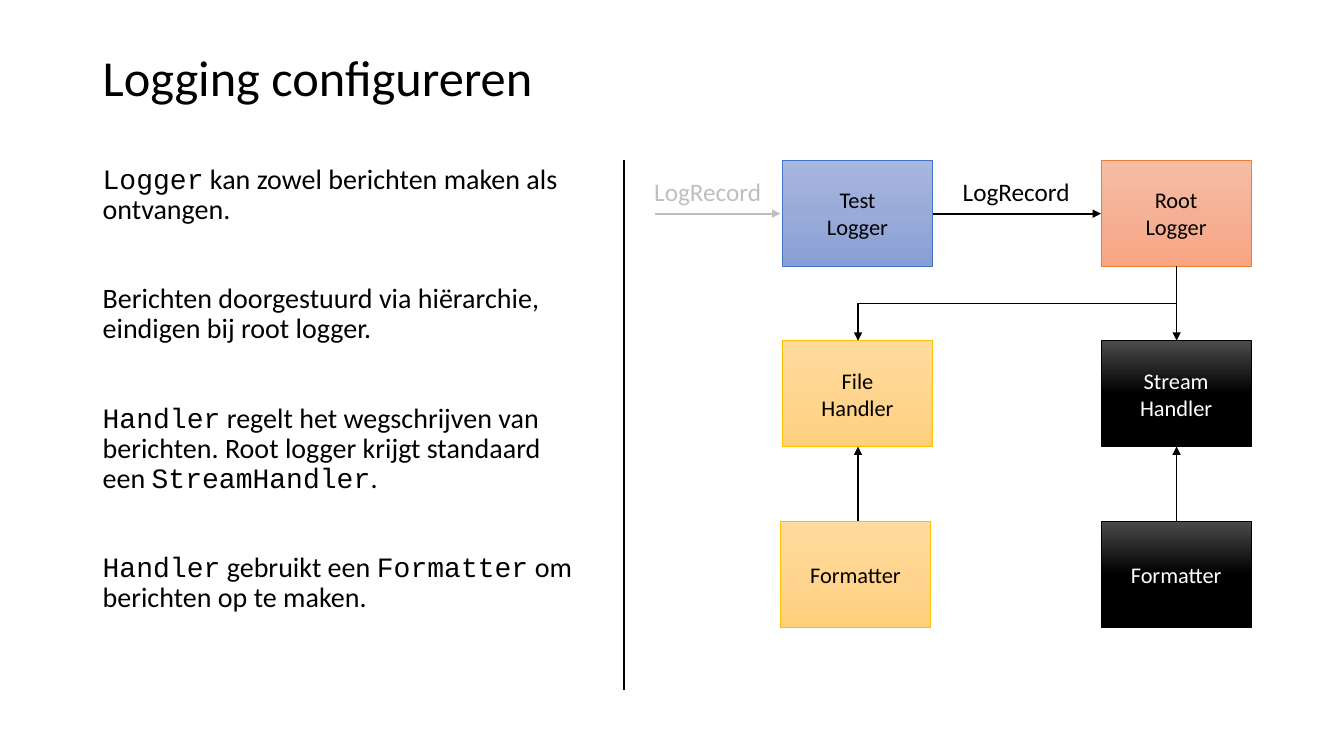
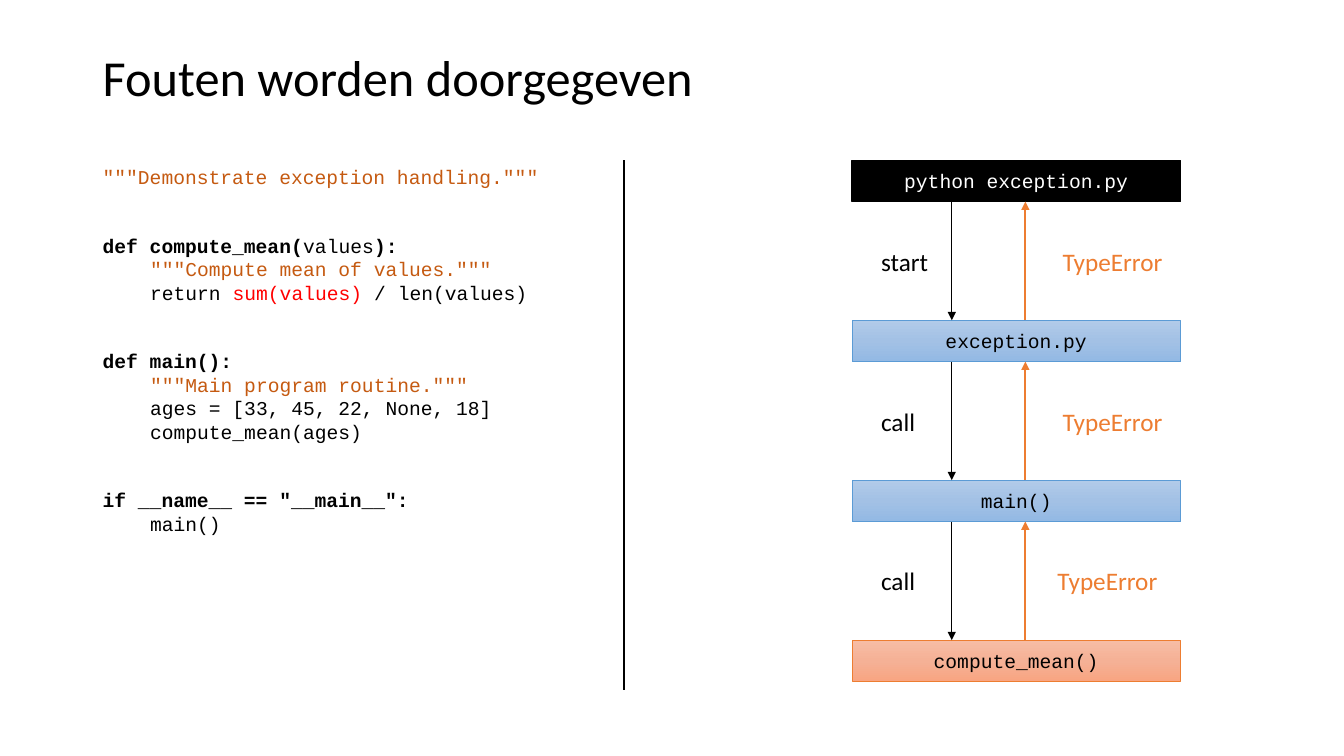
from copy import deepcopy

from pptx import Presentation
from pptx.dml.color import RGBColor
from pptx.enum.shapes import MSO_CONNECTOR as Link, MSO_SHAPE as Form
from pptx.enum.text import MSO_ANCHOR as Anchor, MSO_AUTO_SIZE as Auto, PP_ALIGN as Align
from pptx.oxml.ns import qn
from pptx.util import Inches, Pt

INK = {
    "black": "000000",
    "white": "FFFFFF",
    "grey": "BFBFBF",
    "orange": "ED7D31",
    "rust": "C55A11",
    "red": "FF0000",
}
SKIN = {
    "blue": ("4472C4", ["A8B7DF", "9AABD9", "889ED7"]),
    "sky": ("5B9BD5", ["B1CBE9", "A3C1E5", "93B9E4"]),
    "coral": ("ED7D31", ["F7BDA5", "F5B196", "F8A582"]),
    "gold": ("FFC000", ["FFDB9E", "FFD590", "FFD07C"]),
    "dark": ("000000", ["4B4B4B", "000000", "000000"]),
    "solid": ("000000", ["000000"]),
}
SANS, MONO = "Calibri", "Courier New"
TOP = 1.59


def rgb(code):
    return RGBColor.from_string(code)


def style(run, size, face=SANS, ink="black", bold=False):
    font = run.font
    font.size, font.name, font.bold = Pt(size), face, bold
    font.color.rgb = rgb(INK[ink])


def text_box(slide, left, top, width, height):
    box = slide.shapes.add_textbox(*map(Inches, (left, top, width, height)))
    box.text_frame.word_wrap = True
    return box.text_frame


def label(slide, text, left, top, width, ink="black"):
    frame = text_box(slide, left, top, width, 0.4)
    frame.word_wrap = False
    frame.auto_size = Auto.SHAPE_TO_FIT_TEXT
    frame.text = text
    style(frame.paragraphs[0].runs[0], 18, ink=ink)


def paint(shape, tones):
    fill = shape.fill
    if len(tones) == 1:
        fill.solid()
        fill.fore_color.rgb = rgb(tones[0])
        return
    fill.gradient()
    fill.gradient_angle = 270
    stops = shape._element.spPr.find(".//" + qn("a:gsLst"))
    stops.append(deepcopy(stops[-1]))
    for i, (stop, tone) in enumerate(zip(fill.gradient_stops, tones)):
        stop.position = i / 2
        stop.color.rgb = rgb(tone)


def block(slide, text, left, top, width, height, skin, size=16, face=SANS):
    shape = slide.shapes.add_shape(Form.RECTANGLE, *map(Inches, (left, top, width, height)))
    shape.shadow.inherit = False
    edge, tones = SKIN[skin]
    paint(shape, tones)
    shape.line.color.rgb = rgb(edge)
    shape.line.width = Pt(1 if skin == "solid" else 0.5)
    frame = shape.text_frame
    frame.vertical_anchor = Anchor.MIDDLE
    frame.text = text
    for para in frame.paragraphs:
        para.alignment = Align.CENTER
        style(para.runs[0], size, face, "white" if skin in ("dark", "solid") else "black")


def line(slide, start, end, ink="black", width=1.5, head=True, kind=Link.STRAIGHT):
    link = slide.shapes.add_connector(kind, *map(Inches, start + end))
    link.line.color.rgb = rgb(INK[ink])
    link.line.width = Pt(width)
    if head:
        tail = link.line._get_or_add_ln().makeelement(qn("a:tailEnd"), {"type": "triangle"})
        link.line._get_or_add_ln().append(tail)
    props = link._element.spPr
    props.append(props.makeelement(qn("a:effectLst"), {}))
    return link


def elbow(slide, start, end):
    mid_x, mid_y = (start[0] + end[0]) / 2, (start[1] + end[1]) / 2
    half_w, half_h = abs(end[1] - start[1]) / 2, abs(end[0] - start[0]) / 2
    link = line(slide, (mid_x - half_w, mid_y - half_h), (mid_x + half_w, mid_y + half_h),
                width=1, kind=Link.ELBOW)
    link._element.spPr.find(qn("a:xfrm")).set("rot", str(90 * 60000))


def prose(slide, paras):
    frame = text_box(slide, 0.92, TOP, 5, 5.16)
    for i, parts in enumerate(paras):
        para = frame.paragraphs[0] if i == 0 else frame.add_paragraph()
        para.line_spacing = 0.9
        para.space_before = Pt(42 if i else 0)
        for text, face in parts:
            run = para.add_run()
            run.text = text
            style(run, 20, face)


def code(slide, groups):
    frame = text_box(slide, 0.92, TOP, 5, 5.16)
    para = frame.paragraphs[0]
    for g, rows in enumerate(groups):
        for r, parts in enumerate(rows):
            if g or r:
                para = frame.add_paragraph()
            para.space_before = Pt(32 if g and r == 0 else 0)
            if r:
                para._p.get_or_add_pPr().set("marL", str(Inches(0.47)))
            for text, ink, bold in parts:
                run = para.add_run()
                run.text = text
                style(run, 14, MONO, ink, bold)


def page(deck, title):
    slide = deck.slides.add_slide(deck.slide_layouts[6])
    frame = text_box(slide, 0.92, 0.4, 11.5, 0.79)
    frame.vertical_anchor = Anchor.MIDDLE
    frame.text = title
    frame.paragraphs[0].line_spacing = 0.9
    style(frame.paragraphs[0].runs[0], 36)
    line(slide, (6.19, TOP), (6.19, 6.85), head=False)
    return slide


def logging(deck):
    slide = page(deck, "Logging configureren")
    prose(slide, [
        [("Logger", MONO), (" kan zowel berichten maken als ontvangen.", SANS)],
        [("Berichten doorgestuurd via hiërarchie, eindigen bij root logger.", SANS)],
        [("Handler", MONO),
         (" regelt het wegschrijven van berichten. Root logger krijgt standaard een ", SANS),
         ("StreamHandler", MONO), (".", SANS)],
        [("Handler", MONO), (" gebruikt een ", SANS), ("Formatter", MONO),
         (" om berichten op te maken.", SANS)],
    ])
    wide, tall = 1.49, 1.05
    left, right = 7.76, 10.92
    rows = [TOP + 1.79 * i for i in range(3)]
    for text, x, row, skin in [
        ("Test\nLogger", left, 0, "blue"),
        ("Root\nLogger", right, 0, "coral"),
        ("File\nHandler", left, 1, "gold"),
        ("Stream\nHandler", right, 1, "dark"),
        ("Formatter", left - 0.02, 2, "gold"),
        ("Formatter", right, 2, "dark"),
    ]:
        block(slide, text, x, rows[row], wide, tall, skin)
    mid = 2.12
    line(slide, (6.5, mid), (7.74, mid), "grey")
    line(slide, (left + wide, mid), (right, mid))
    label(slide, "LogRecord", 6.39, 1.7, 1.28, "grey")
    label(slide, "LogRecord", 9.45, 1.7, 1.28)
    file_x, root_x = left + 0.75, right + 0.75
    line(slide, (file_x, rows[2]), (file_x, rows[1] + tall))
    line(slide, (root_x, rows[2]), (root_x, rows[1] + tall), width=1)
    line(slide, (root_x, rows[0] + tall), (root_x, rows[1]), width=1)
    elbow(slide, (root_x, rows[0] + tall), (file_x, rows[1]))


def errors(deck):
    slide = page(deck, "Fouten worden doorgegeven")
    code(slide, [
        [[('"""Demonstrate exception handling."""', "rust", False)]],
        [
            [("def compute_mean(", "black", True), ("values", "black", False),
             ("):", "black", True)],
            [('"""Compute mean of values."""', "rust", False)],
            [("return ", "black", False), ("sum(values)", "red", False),
             (" / len(values)", "black", False)],
        ],
        [
            [("def main():", "black", True)],
            [('"""Main program routine."""', "rust", False)],
            [("ages = [33, 45, 22, None, 18]", "black", False)],
            [("compute_mean(ages)", "black", False)],
        ],
        [
            [('if __name__ == "__main__":', "black", True)],
            [("main()", "black", False)],
        ],
    ])
    tall, step = 0.41, 1.587
    stack = [("python exception.py", "solid"), ("exception.py", "sky"),
             ("main()", "sky"), ("compute_mean()", "coral")]
    for i, (text, skin) in enumerate(stack):
        block(slide, text, 8.45, TOP + step * i, 3.26, tall, skin, 14, MONO)
    calls = [("start", 0.67, 10.44), ("call", 0.54, 10.44), ("call", 0.54, 10.39)]
    for i, (text, width, error_x) in enumerate(calls):
        upper = TOP + step * i + tall
        lower = TOP + step * (i + 1)
        line(slide, (9.44, upper), (9.44, lower), width=1)
        line(slide, (10.17, lower), (10.17, upper), "orange")
        label(slide, text, 8.64, upper + 0.39, width)
        label(slide, "TypeError", error_x, upper + 0.39, 1.2, "orange")


def main():
    deck = Presentation()
    deck.slide_width, deck.slide_height = Inches(13.33), Inches(7.5)
    logging(deck)
    errors(deck)
    deck.save("out.pptx")


main()
